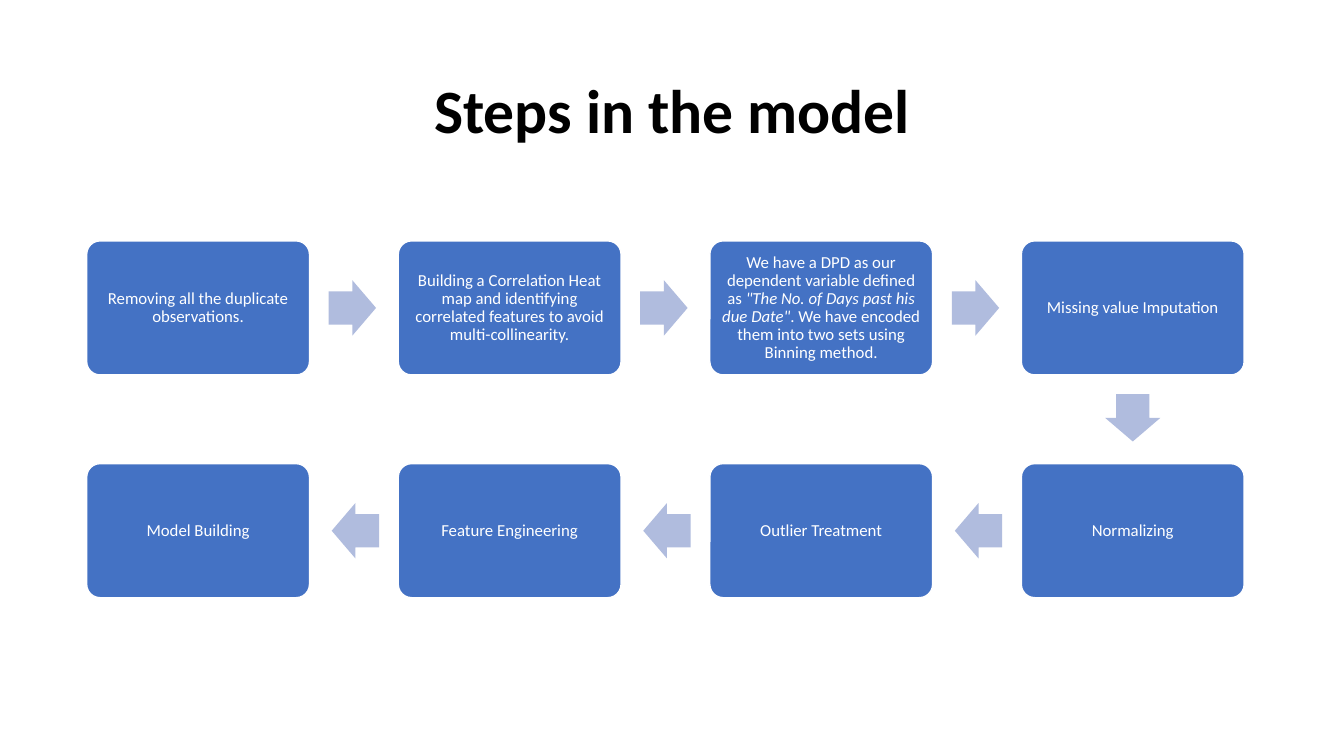
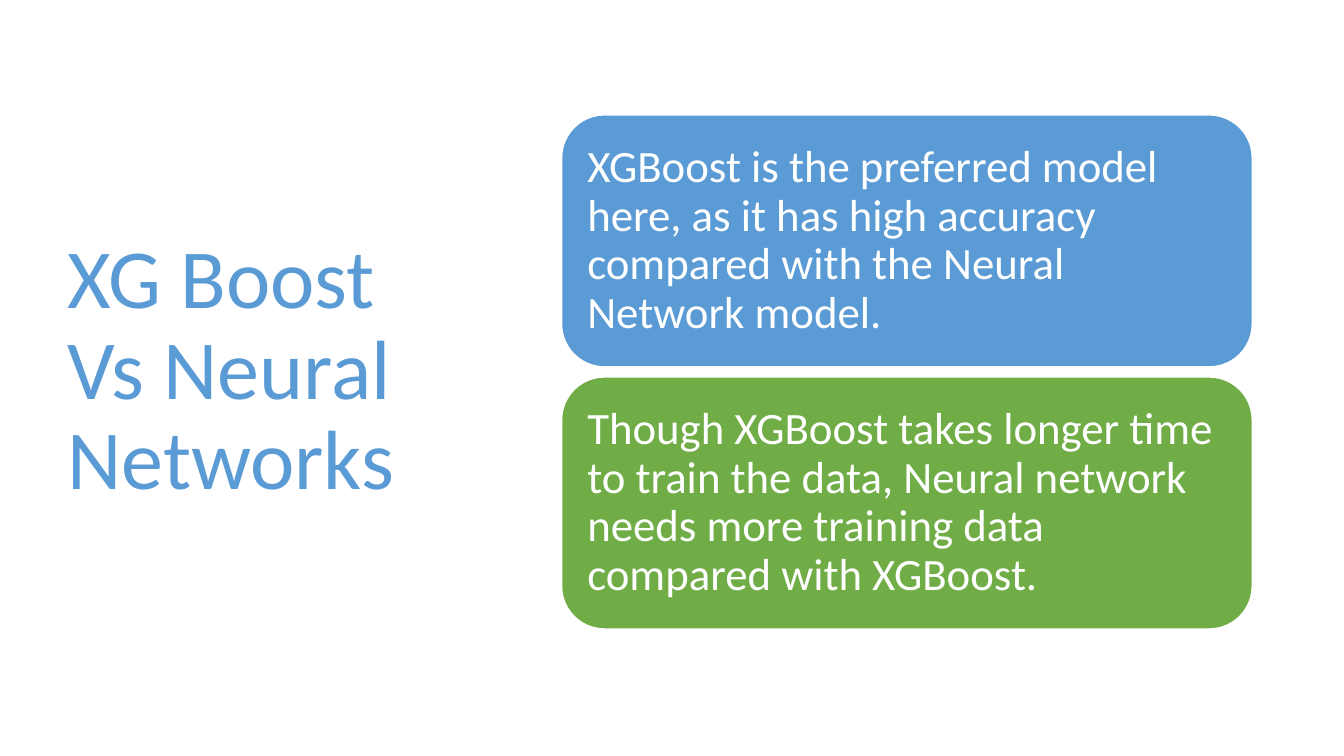
from dataclasses import dataclass

from pptx import Presentation
from pptx.dml.color import RGBColor
from pptx.enum.shapes import MSO_SHAPE as Shape
from pptx.enum.text import MSO_ANCHOR as Anchor, MSO_AUTO_SIZE as AutoSize, PP_ALIGN as Align
from pptx.util import Inches, Pt

FONT = "Calibri"
COLORS = {
    "black": "000000",
    "white": "FFFFFF",
    "step": "4472C4",
    "arrow": "B0BCDE",
    "sky": "5B9BD5",
    "green": "70AD47",
}


@dataclass(frozen=True)
class Box:
    left: float
    top: float
    width: float
    height: float

    def lengths(self) -> tuple:
        return tuple(Inches(v) for v in (self.left, self.top, self.width, self.height))


@dataclass(frozen=True)
class Run:
    text: str
    italic: bool = False


@dataclass(frozen=True)
class TextStyle:
    size: int
    color: str = "white"
    align: Align = Align.LEFT
    bold: bool = False
    inset: float = 0.1


@dataclass(frozen=True)
class Arrow:
    """Offset from the step it leaves, and its rotation."""
    dx: float
    dy: float
    rotation: int


# Step grid: the flow runs right along the first row and back along the second
COLUMNS = 4
GRID_LEFT, GRID_TOP = 0.86, 2.39
PITCH_X, PITCH_Y = 3.09, 2.21
STEP_WIDTH, STEP_HEIGHT = 2.21, 1.33
ARROW_WIDTH, ARROW_HEIGHT = 0.47, 0.55
RIGHT = Arrow(2.4, 0.39, 0)
DOWN = Arrow((STEP_WIDTH - ARROW_WIDTH) / 2, 1.48, 90)
LEFT = Arrow(-0.66, 0.39, 180)

STEP_STYLE = TextStyle(12, align=Align.CENTER, inset=0.05)
CARD_STYLE = TextStyle(32, inset=0.13)

STEPS = [
    [Run("Removing all the duplicate observations.")],
    [Run("Building a Correlation Heat map and identifying correlated features "
         "to avoid multi-collinearity.")],
    [Run("We have a DPD as our dependent variable defined as "),
     Run('"The No. of Days past his due Date"', italic=True),
     Run(". We have encoded them into two sets using Binning method.")],
    [Run("Missing value Imputation")],
    [Run("Normalizing")],
    [Run("Outlier Treatment")],
    [Run("Feature Engineering")],
    [Run("Model Building")],
]

CARDS = [
    ("sky", "XGBoost is the preferred model here, as it has high accuracy compared "
            "with the Neural Network model."),
    ("green", "Though XGBoost takes longer time to train the data, Neural network "
              "needs more training data compared with XGBoost."),
]


def rgb(name: str) -> RGBColor:
    return RGBColor.from_string(COLORS[name])


def write_text(shape, runs: list[Run], style: TextStyle) -> None:
    frame = shape.text_frame
    frame.word_wrap = True
    frame.auto_size = AutoSize.NONE
    frame.vertical_anchor = Anchor.MIDDLE
    frame.margin_left = frame.margin_right = Inches(style.inset)
    frame.margin_top = frame.margin_bottom = Inches(min(style.inset, CARD_STYLE.inset))
    paragraph = frame.paragraphs[0]
    paragraph.alignment = style.align
    paragraph.line_spacing = 0.9
    paragraph.space_before = Pt(0)
    for part in runs:
        run = paragraph.add_run()
        run.text = part.text
        run.font.name = FONT
        run.font.size = Pt(style.size)
        run.font.bold = style.bold
        run.font.italic = part.italic
        run.font.color.rgb = rgb(style.color)


def add_titled_slide(presentation, title: str, box: Box, style: TextStyle):
    slide = presentation.slides.add_slide(presentation.slide_layouts[5])
    shape = slide.shapes.title
    shape.left, shape.top, shape.width, shape.height = box.lengths()
    write_text(shape, [Run(title)], style)
    return slide


def add_filled(slide, kind: Shape, box: Box, color: str, adjustments: list[float]):
    shape = slide.shapes.add_shape(kind, *box.lengths())
    shape.shadow.inherit = False
    shape.fill.solid()
    shape.fill.fore_color.rgb = rgb(color)
    shape.line.fill.background()
    for index, value in enumerate(adjustments):
        shape.adjustments[index] = value
    return shape


def add_card(slide, box: Box, color: str, rounding: float, runs: list[Run],
             style: TextStyle) -> None:
    shape = add_filled(slide, Shape.ROUNDED_RECTANGLE, box, color, [rounding])
    shape.line.color.rgb = rgb("white")
    shape.line.width = Pt(1)
    write_text(shape, runs, style)


def add_arrow(slide, step: Box, arrow: Arrow) -> None:
    box = Box(step.left + arrow.dx, step.top + arrow.dy, ARROW_WIDTH, ARROW_HEIGHT)
    shape = add_filled(slide, Shape.RIGHT_ARROW, box, "arrow", [0.6, 0.5])
    shape.rotation = arrow.rotation


def build_steps(presentation) -> None:
    slide = add_titled_slide(presentation, "Steps in the model", Box(0.92, 0.4, 11.5, 1.45),
                             TextStyle(44, "black", Align.CENTER, bold=True))
    for index, runs in enumerate(STEPS):
        row, place = divmod(index, COLUMNS)
        column = COLUMNS - 1 - place if row % 2 else place
        box = Box(GRID_LEFT + column * PITCH_X, GRID_TOP + row * PITCH_Y,
                  STEP_WIDTH, STEP_HEIGHT)
        add_card(slide, box, "step", 0.1, runs, STEP_STYLE)
        if index < len(STEPS) - 1:
            turning = place == COLUMNS - 1
            add_arrow(slide, box, DOWN if turning else LEFT if row % 2 else RIGHT)


def build_comparison(presentation) -> None:
    slide = add_titled_slide(presentation, "XG Boost Vs Neural Networks",
                             Box(0.57, 0.68, 4.16, 6.02), TextStyle(60, "sky"))
    for index, (color, text) in enumerate(CARDS):
        box = Box(5.57, 1.14 + index * 2.6, 6.85, 2.5)
        add_card(slide, box, color, 0.17, [Run(text)], CARD_STYLE)


def main() -> None:
    presentation = Presentation()
    presentation.slide_width = Inches(13.33)
    presentation.slide_height = Inches(7.5)
    build_steps(presentation)
    build_comparison(presentation)
    presentation.save("out.pptx")


if __name__ == "__main__":
    main()
